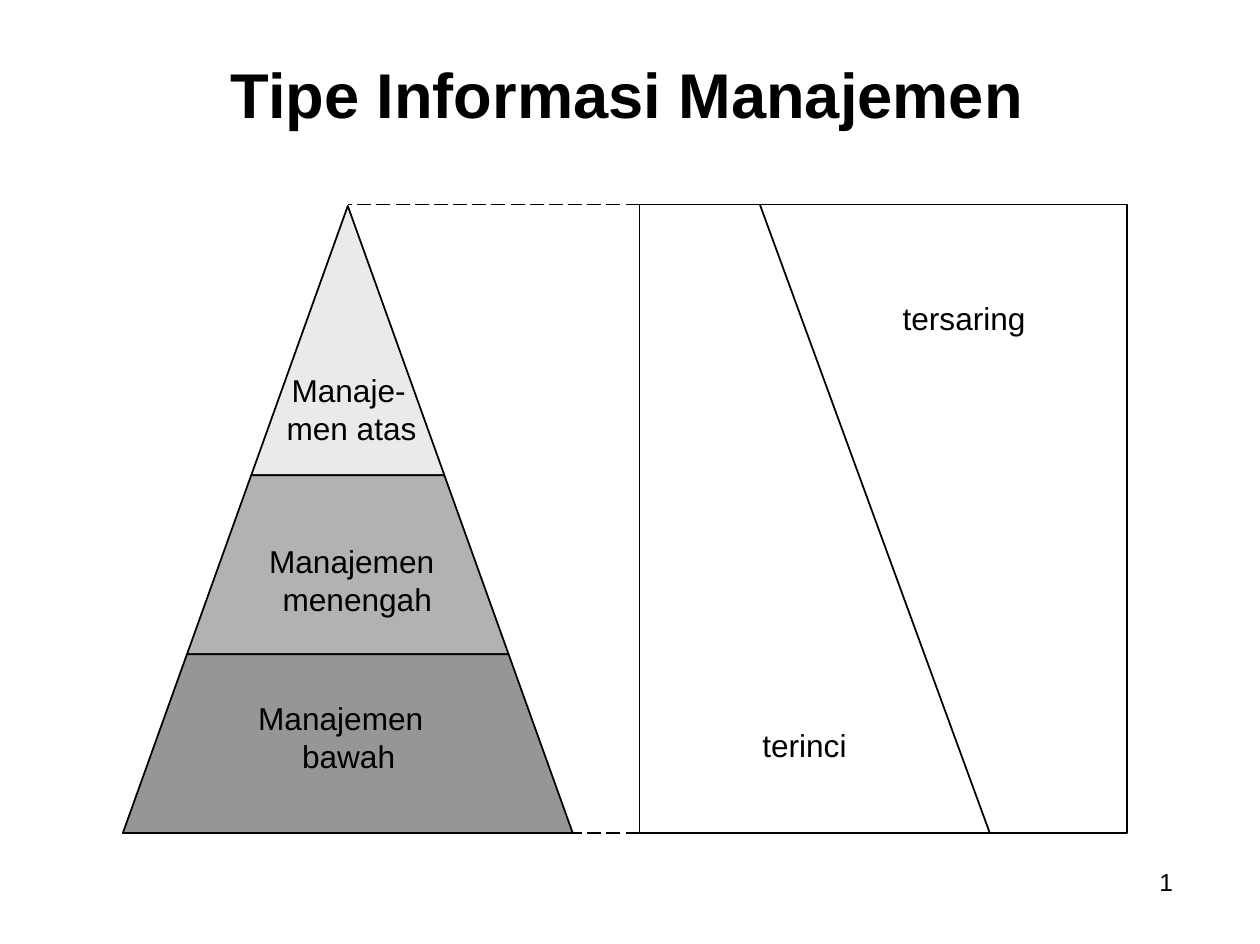
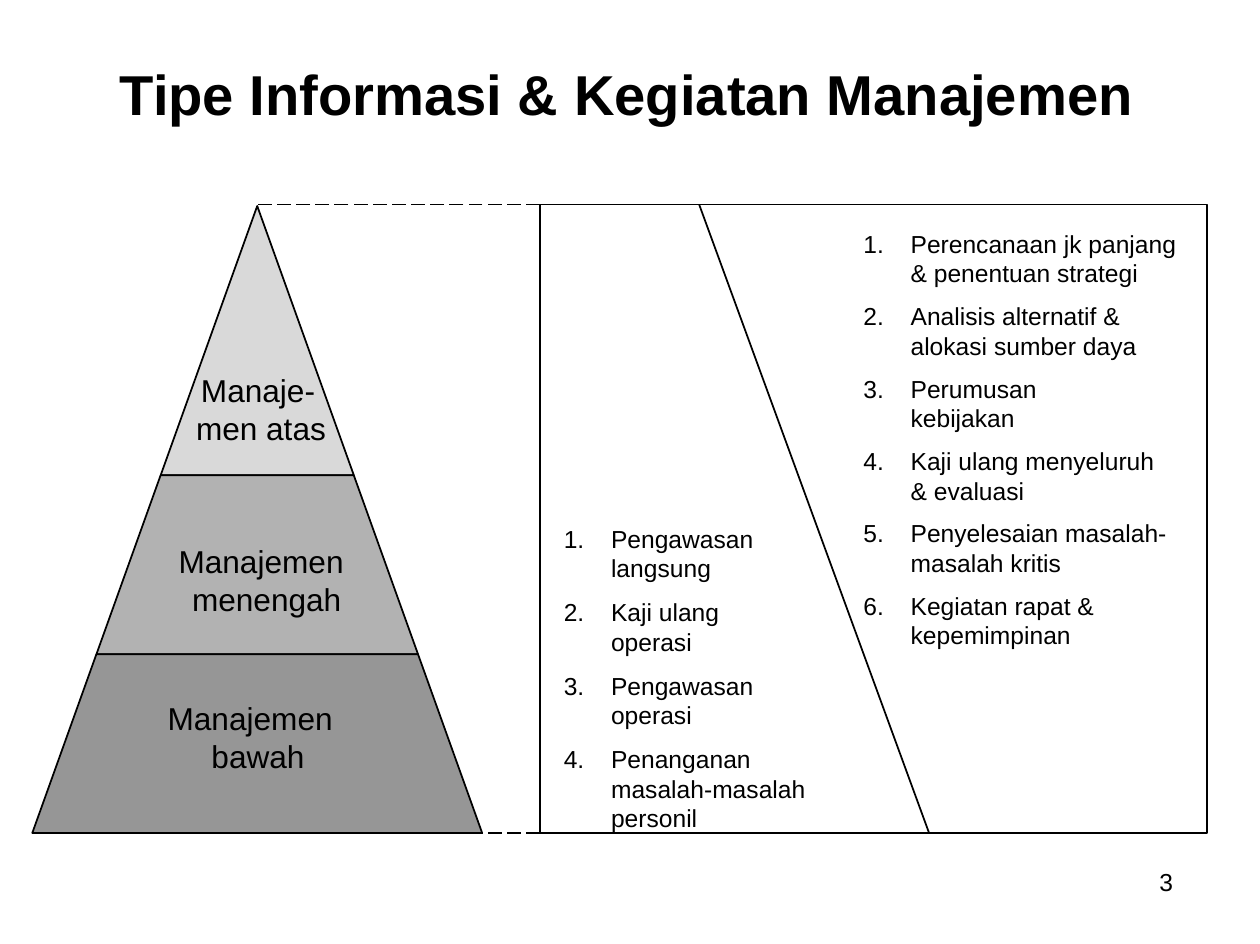
"""Builds two slides on management levels and their information."""
from copy import deepcopy
from dataclasses import dataclass

from lxml import etree
from pptx import Presentation
from pptx.dml.color import RGBColor
from pptx.enum import dml, shapes, text
from pptx.oxml import ns
from pptx.util import Cm, Pt

BLACK = "000000"
FONT = "Arial"
WIDE, HIGH = 25.32, 18.97
TOP, APEX, BASE = 4.11, 4.14, 16.74
HALF = 4.52
SLOPE = HALF / (BASE - APEX)
SLANT = 4.62
HANG, NUDGE = 1.0, 0.95


@dataclass
class Level:
    """One pyramid level; left is relative to the apex."""
    label: str
    top: float
    end: float
    fill: str
    left: float
    text_top: float
    margin: float
    indent: float


@dataclass
class Note:
    """A text, or a numbered list when it has several items."""
    items: list[str]
    left: float
    top: float
    width: float
    height: float
    size: float
    gap: float = 0


@dataclass
class Page:
    """What differs from slide to slide."""
    title: str
    size: float
    number: str
    apex: float
    panel: float
    width: float
    slant: float
    tip: str
    notes: list[Note]


LEVELS = [
    Level("Manaje-\vmen atas", APEX, 9.55, "EAEAEA", -1.23, 7.45, 0, 0.1),
    Level("Manajemen\vmenengah", 9.55, 13.15, "B2B2B2", -1.58, 10.9, 0.27, -0.27),
    Level("Manajemen\vbawah", 13.15, BASE, "969696", -1.8, 14.05, 0.88, -0.88),
]

PAGES = [
    Page("Tipe Informasi Manajemen", 36, "1", 6.99, 12.85, 9.8, 15.27, "EAEAEA", [
        Note(["terinci"], 15.32, 14.58, 2.2, 0.85, 18),
        Note(["tersaring"], 18.14, 6, 3, 0.85, 18),
    ]),
    Page("Tipe Informasi & Kegiatan Manajemen", 32, "3", 5.17, 10.85, 13.41, 14.05, "D9D9D9", [
        Note(["Pengawasan\vlangsung", "Kaji ulang\voperasi", "Pengawasan\voperasi",
              "Penanganan\vmasalah-masalah\vpersonil"], 11.28, 10.52, 5.6, 6.2, 14, 8.3),
        Note(["Perencanaan jk panjang\v& penentuan strategi",
              "Analisis alternatif &\valokasi sumber daya", "Perumusan\vkebijakan",
              "Kaji ulang menyeluruh\v& evaluasi", "Penyelesaian masalah-\vmasalah kritis",
              "Kegiatan rapat &\vkepemimpinan"], 17.3, 4.6, 6.8, 8.5, 14, 7.6),
    ]),
]


def color(code: str) -> RGBColor:
    """Turn a hex string into a colour."""
    return RGBColor.from_string(code)


def style(para, size: float, bold: bool = False) -> None:
    """Format the runs and line breaks of a paragraph."""
    for run in para.runs:
        run.font.name, run.font.size, run.font.bold = FONT, Pt(size), bold
        run.font.color.rgb = color(BLACK)
    for gap in para._p.findall(ns.qn("a:br")):
        gap.insert(0, deepcopy(para.runs[0]._r.rPr))


def indent(para, margin: float, first: float) -> None:
    """Set the left margin and first-line indent."""
    props = para._p.get_or_add_pPr()
    props.set("marL", str(Cm(margin)))
    props.set("indent", str(Cm(first)))


def clear(frame) -> None:
    """Remove the insets of a text frame."""
    frame.margin_left = frame.margin_right = 0
    frame.margin_top = frame.margin_bottom = 0
    frame.word_wrap = True


def write(slide, note: Note):
    """Draw a text box and return its frame."""
    box = slide.shapes.add_textbox(Cm(note.left), Cm(note.top), Cm(note.width), Cm(note.height))
    frame = box.text_frame
    clear(frame)
    for i, item in enumerate(note.items):
        para = frame.add_paragraph() if i else frame.paragraphs[0]
        para.text = item
        if len(note.items) > 1:
            indent(para, HANG, -NUDGE)
            etree.SubElement(para._p.get_or_add_pPr(), ns.qn("a:buAutoNum"), type="arabicPeriod")
        if i:
            para.space_before = Pt(note.gap)
        style(para, note.size)
    return frame


def shape(slide, kind, left: float, top: float, width: float, height: float, fill: str = ""):
    """Draw an outlined preset shape."""
    item = slide.shapes.add_shape(kind, Cm(left), Cm(top), Cm(width), Cm(height))
    item.shadow.inherit = False
    if fill:
        item.fill.solid()
        item.fill.fore_color.rgb = color(fill)
    else:
        item.fill.background()
    item.line.color.rgb = color(BLACK)
    item.line.width = Pt(1)
    return item


def line(slide, x: float, y: float, end_x: float, end_y: float, dash: bool = False) -> None:
    """Draw a straight line."""
    item = slide.shapes.add_connector(
        shapes.MSO_CONNECTOR.STRAIGHT, Cm(x), Cm(y), Cm(end_x), Cm(end_y))
    item.line.color.rgb = color(BLACK)
    item.line.width = Pt(1)
    if dash:
        item.line.dash_style = dml.MSO_LINE.LONG_DASH
    etree.SubElement(item._element.spPr, ns.qn("a:effectLst"))


def head(slide, page: Page) -> None:
    """Place and format the title."""
    title = slide.shapes.title
    title.left, title.top, title.width, title.height = Cm(1.4), Cm(1.07), Cm(22.4), Cm(1.6)
    frame = title.text_frame
    frame.text = page.title
    clear(frame)
    frame.vertical_anchor = text.MSO_ANCHOR.MIDDLE
    frame.paragraphs[0].alignment = text.PP_ALIGN.CENTER
    style(frame.paragraphs[0], page.size, True)


def tier(slide, page: Page, level: Level) -> None:
    """Draw one level of the pyramid with its label."""
    peak = level.top == APEX
    half = SLOPE * (level.end - APEX)
    kind = shapes.MSO_SHAPE.ISOSCELES_TRIANGLE if peak else shapes.MSO_SHAPE.TRAPEZOID
    item = shape(slide, kind, page.apex - half, level.top, 2 * half,
                 level.end - level.top, page.tip if peak else level.fill)
    if not peak:
        item.adjustments[0] = SLOPE
    frame = write(slide, Note([level.label], page.apex + level.left, level.text_top, 3.6, 1.6, 18))
    indent(frame.paragraphs[0], level.margin, level.indent)


def draw(deck, page: Page) -> None:
    """Add one whole slide."""
    slide = deck.slides.add_slide(deck.slide_layouts[5])
    head(slide, page)
    for level in LEVELS:
        tier(slide, page, level)
    shape(slide, shapes.MSO_SHAPE.RECTANGLE, page.panel, TOP, page.width, BASE - TOP)
    line(slide, page.panel, TOP, page.apex, TOP, True)
    line(slide, page.panel, BASE, page.apex + HALF, BASE, True)
    line(slide, page.slant, TOP, page.slant + SLANT, BASE)
    for note in page.notes:
        write(slide, note)
    write(slide, Note([page.number], 23.3, 17.42, 0.6, 0.64, 14))


def main() -> None:
    """Build and save the deck."""
    deck = Presentation()
    deck.slide_width, deck.slide_height = Cm(WIDE), Cm(HIGH)
    for page in PAGES:
        draw(deck, page)
    deck.save("out.pptx")


if __name__ == "__main__":
    main()
